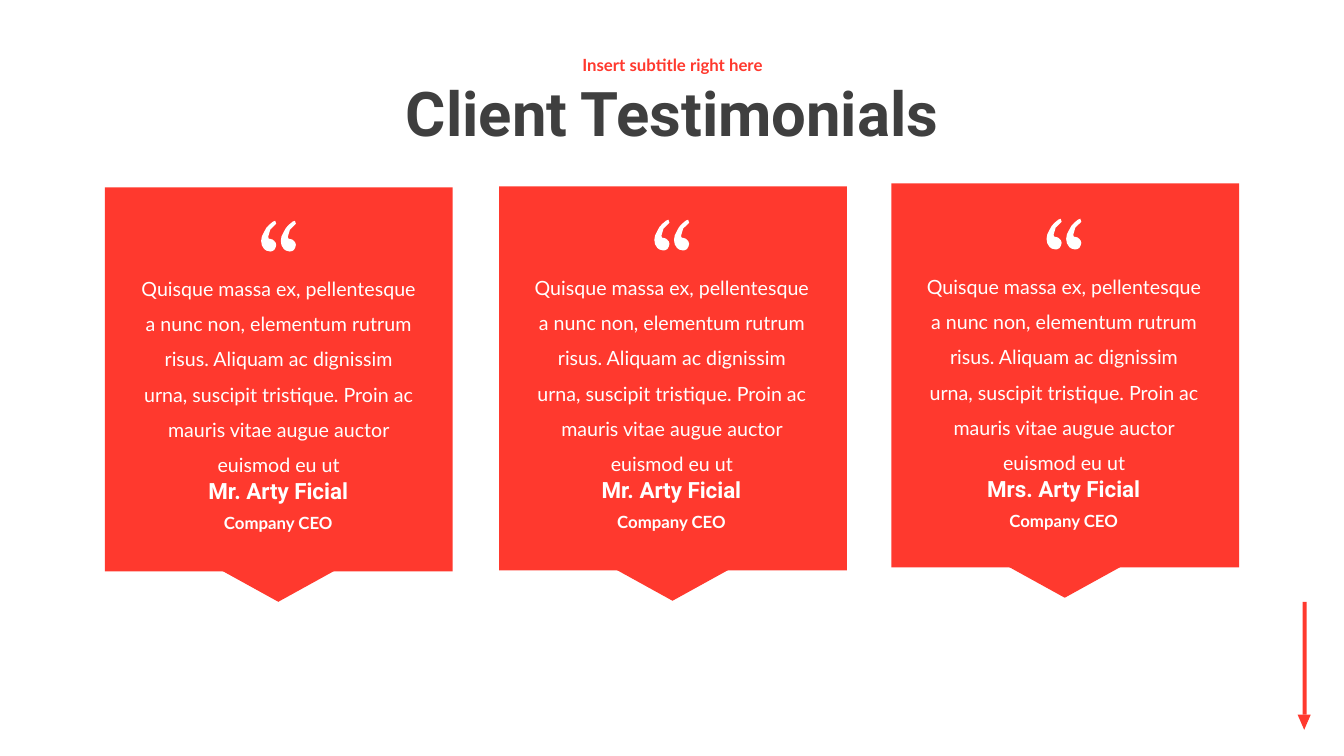
import dataclasses
import typing

import pptx
import pptx.dml.color
import pptx.enum.shapes
import pptx.enum.text
import pptx.util
from pptx.util import Inches

RED, GREY, WHITE = "FF392E", "3F3F3F", "FFFFFF"
SHAPES = pptx.enum.shapes.MSO_SHAPE
MIDDLE = pptx.enum.text.MSO_ANCHOR.MIDDLE
QUOTE = (
    "Quisque massa ex, pellentesque a nunc non, elementum rutrum risus. "
    "Aliquam ac dignissim urna, suscipit tristique. Proin ac mauris vitae "
    "augue auctor euismod eu ut"
)

# Outline of one quotation mark in hundredths of an inch:
# a start point, then Bézier segments as two controls and an end
MARK_START = (15, 3)
MARK_CURVES = [
    ((10, 6), (7, 11), (7, 16)),
    ((7, 18), (8, 18), (9, 18)),
    ((11, 18), (12, 19), (13, 20)),
    ((14, 21), (15, 22), (15, 24)),
    ((15, 26), (14, 27), (13, 29)),
    ((12, 30), (10, 30.5), (9, 30.5)),
    ((6, 30.5), (4, 29), (3, 28)),
    ((1, 26), (0, 23), (0, 20)),
    ((0, 17), (1, 14), (3, 11)),
    ((4, 8), (6, 6), (8, 4)),
    ((11, 1), (13, 0), (14, 0)),
]
MARK_GAP = 19.5
CURVE_STEPS = 2


@dataclasses.dataclass
class Testimonial:
    name: str
    panel_left: float
    panel_top: float
    text_left: float
    text_top: float


TESTIMONIALS = [
    Testimonial("Mr. Arty Ficial", 1.04, 1.86, 1.3, 2.58),
    Testimonial("Mr. Arty Ficial", 4.95, 1.85, 5.2, 2.57),
    Testimonial("Mrs. Arty Ficial", 8.84, 1.82, 9.09, 2.56),
]


def colour(value: str) -> pptx.dml.color.RGBColor:
    return pptx.dml.color.RGBColor.from_string(value)


def paint(shape: typing.Any, fill: str) -> None:
    shape.shadow.inherit = False
    shape.fill.solid()
    shape.fill.fore_color.rgb = colour(fill)
    shape.line.fill.background()


def place(shape: typing.Any, left: float, top: float, width: float, height: float) -> None:
    shape.left, shape.top = Inches(left), Inches(top)
    shape.width, shape.height = Inches(width), Inches(height)


def write(box: typing.Any, text: str, *, font: str, size: float, fill: str,
          bold: bool = False, spacing: float = 1.0, anchor: typing.Any = None,
          grow: bool = False) -> None:
    frame = box.text_frame
    frame.word_wrap = True
    fit = pptx.enum.text.MSO_AUTO_SIZE
    frame.auto_size = fit.SHAPE_TO_FIT_TEXT if grow else fit.NONE
    if anchor is not None:
        frame.vertical_anchor = anchor
    para = frame.paragraphs[0]
    para.alignment = pptx.enum.text.PP_ALIGN.CENTER
    para.line_spacing = spacing
    para.space_before = pptx.util.Pt(0)
    span = para.add_run()
    span.text = text
    span.font.name = font
    span.font.size = pptx.util.Pt(size)
    span.font.bold = bold
    span.font.color.rgb = colour(fill)


def add_pointer(shapes: typing.Any, bar: tuple[float, ...], tip: tuple[float, ...]) -> None:
    """Group a rectangle with a triangle pointing down below it."""
    group = shapes.add_group_shape()
    for kind, area, turn in ((SHAPES.RECTANGLE, bar, 0), (SHAPES.ISOSCELES_TRIANGLE, tip, 180)):
        shape = group.shapes.add_shape(kind, *map(Inches, area))
        shape.rotation = turn
        paint(shape, RED)


def mark_outline(shift: float) -> list[tuple[int, int]]:
    points = [MARK_START]
    for first, second, end in MARK_CURVES:
        start = points[-1]
        for step in range(1, CURVE_STEPS + 1):
            t = step / CURVE_STEPS
            u = 1 - t
            points.append(tuple(
                u**3 * a + 3 * u * u * t * b + 3 * u * t * t * c + t**3 * d
                for a, b, c, d in zip(start, first, second, end)
            ))
    return [(Inches((x + shift) / 100), Inches(y / 100)) for x, y in points]


def add_quote_marks(shapes: typing.Any, left: float, top: float) -> None:
    opening, closing = mark_outline(0), mark_outline(MARK_GAP)
    builder = shapes.build_freeform(*opening[0])
    builder.add_line_segments(opening[1:], close=True)
    builder.move_to(*closing[0])
    builder.add_line_segments(closing[1:], close=True)
    paint(builder.convert_to_shape(Inches(left), Inches(top)), WHITE)


def add_text(shapes: typing.Any, area: tuple[float, ...], text: str, **style: typing.Any) -> None:
    box = shapes.add_textbox(*map(Inches, area))
    write(box, text, fill=WHITE, grow=True, **style)


def add_testimonial(shapes: typing.Any, card: Testimonial) -> None:
    left, top = card.panel_left, card.panel_top
    add_pointer(shapes, (left, top, 3.45, 3.81), (left + 1.14, top + 3.79, 1.16, 0.32))
    left, top = card.text_left, card.text_top
    add_text(shapes, (left, top + 2.1, 2.92, 0.37), card.name,
             font="Roboto", size=16, bold=True)
    add_text(shapes, (left + 0.47, top + 2.46, 1.98, 0.3), "Company CEO",
             font="Lato", size=12, bold=True)
    add_text(shapes, (left, top, 2.93, 1.83), QUOTE, font="Lato", size=14, spacing=1.5)
    add_quote_marks(shapes, left + 1.29, top - 0.39)


def main() -> None:
    deck = pptx.Presentation()
    deck.slide_width, deck.slide_height = Inches(13.33), Inches(7.5)
    slide = deck.slides.add_slide(deck.slide_layouts[0])

    # Heading
    title, subtitle = slide.shapes.title, slide.placeholders[1]
    place(title, 2.92, 0.64, 7.5, 1.03)
    write(title, "Client Testimonials", font="Roboto", size=44, fill=GREY,
          bold=True, spacing=0.9, anchor=MIDDLE)
    place(subtitle, 2.92, 0.47, 7.5, 0.38)
    write(subtitle, "Insert subtitle right here", font="Lato", size=12, fill=RED,
          bold=True, spacing=0.9, anchor=MIDDLE)

    # Arrow in the corner
    add_pointer(slide.shapes, (12.92, 5.97, 0.04, 1.12), (12.87, 7.09, 0.13, 0.15))

    # Testimonial cards
    for card in TESTIMONIALS:
        add_testimonial(slide.shapes, card)

    deck.save("out.pptx")


if __name__ == "__main__":
    main()
